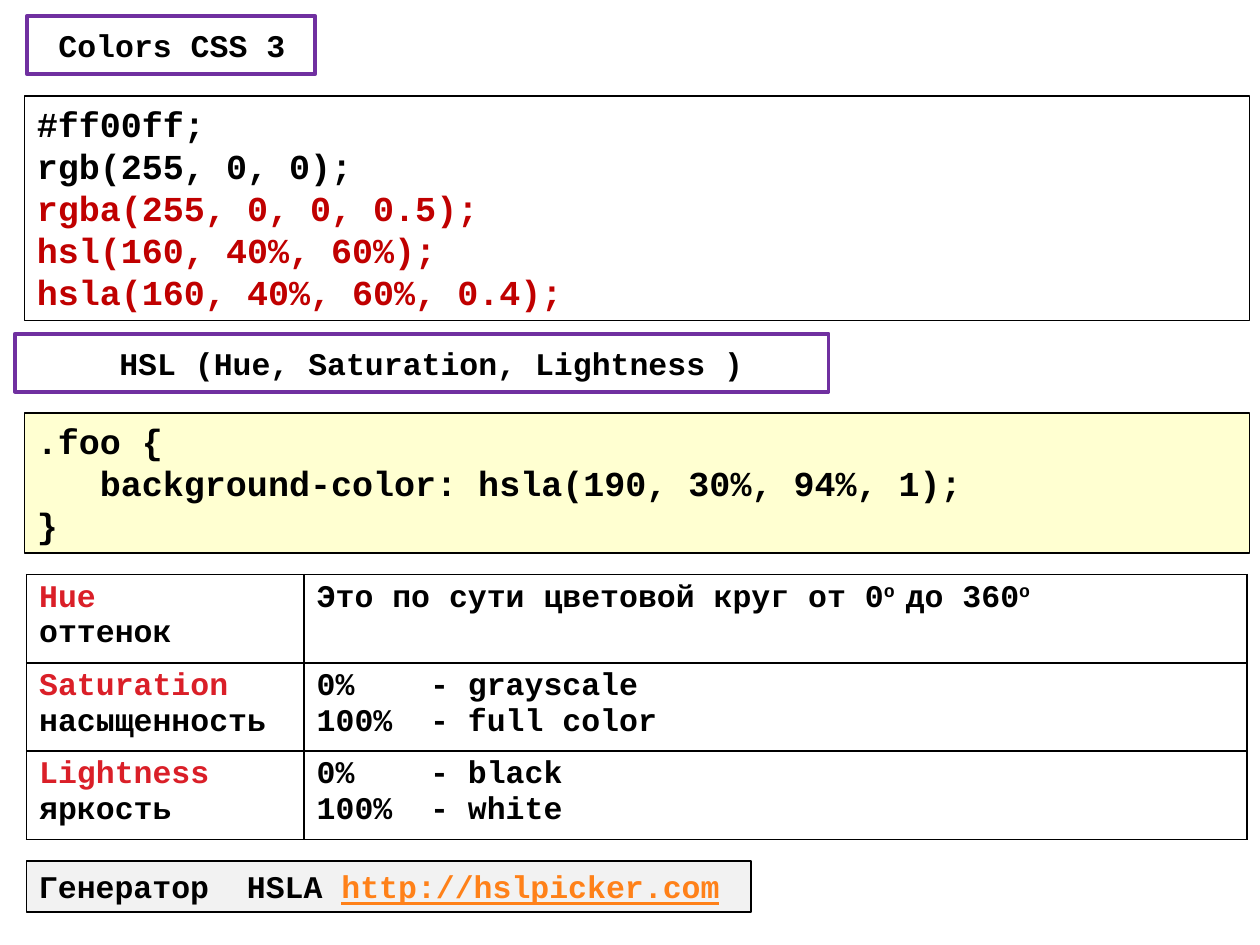
from dataclasses import dataclass

from lxml.etree import SubElement
from pptx import Presentation
from pptx.dml.color import RGBColor
from pptx.enum.shapes import MSO_SHAPE
from pptx.enum.text import MSO_ANCHOR, PP_ALIGN
from pptx.oxml.ns import qn
from pptx.util import Pt


@dataclass(frozen=True)
class Theme:
    font: str = "Courier New"
    body: int = 18
    code: int = 20
    ink: str = "000000"
    paper: str = "FFFFFF"
    frame: str = "7030A0"
    new_syntax: str = "C00000"
    term: str = "DA1F28"
    link: str = "FF8119"
    highlight: str = "FFFF00"
    footer: str = "F2F2F2"


THEME = Theme()


def rgb(value):
    return RGBColor.from_string(value)


def add_run(paragraph, text, size, color=THEME.ink, underline=None, raised=False):
    run = paragraph.add_run()
    run.text = text
    run.font.name = THEME.font
    run.font.size = Pt(size)
    run.font.bold = True
    run.font.underline = underline
    run.font.color.rgb = rgb(color)
    if raised:
        run.font._element.set("baseline", "30000")


def fill_lines(frame, lines, size, align=PP_ALIGN.LEFT):
    for index, runs in enumerate(lines):
        paragraph = frame.add_paragraph() if index else frame.paragraphs[0]
        paragraph.alignment = align
        for text, style in runs:
            add_run(paragraph, text, size, **style)


def add_panel(slide, box, fill, border, border_width, opacity=None):
    panel = slide.shapes.add_shape(MSO_SHAPE.RECTANGLE, *map(Pt, box))
    panel.shadow.inherit = False
    panel.fill.solid()
    panel.fill.fore_color.rgb = rgb(fill)
    if opacity is not None:
        color = panel.fill._xPr.find(qn("a:solidFill"))[0]
        SubElement(color, qn("a:alpha"), val=str(opacity * 1000))
    panel.line.color.rgb = rgb(border)
    panel.line.width = Pt(border_width)
    panel.text_frame.word_wrap = True
    panel.text_frame.vertical_anchor = MSO_ANCHOR.TOP
    return panel.text_frame


def add_heading(slide, box, text, align):
    frame = add_panel(slide, box, THEME.paper, THEME.frame, 2.25)
    frame.vertical_anchor = MSO_ANCHOR.MIDDLE
    fill_lines(frame, [[(text, {})]], THEME.body, align)


def add_code(slide, box, lines, fill):
    frame = add_panel(slide, box, fill, THEME.ink, 0.75, opacity=18)
    fill_lines(frame, [[(text, {"color": color})] for text, color in lines], THEME.code)


def add_generator(slide, box):
    frame = add_panel(slide, box, THEME.footer, THEME.ink, 1)
    runs = [
        ("Генератор  HSLA ", {}),
        ("http://hslpicker.com", {"color": THEME.link, "underline": True}),
        (" ", {}),
    ]
    fill_lines(frame, [runs], THEME.body)


def border_cell(cell):
    properties = cell._tc.get_or_add_tcPr()
    for position, side in enumerate(("lnL", "lnR", "lnT", "lnB")):
        line = SubElement(properties, qn(f"a:{side}"), w=str(Pt(1)))
        fill = SubElement(line, qn("a:solidFill"))
        SubElement(fill, qn("a:srgbClr"), val=THEME.ink)
        properties.insert(position, line)


def add_components(slide, box, components, term_width):
    left, top, width, height = box
    table = slide.shapes.add_table(len(components), 2, *map(Pt, box)).table
    table.first_row = table.horz_banding = False
    for column, column_width in zip(table.columns, (term_width, width - term_width)):
        column.width = Pt(column_width)
    for row, (term, translation, meaning) in zip(table.rows, components):
        row.height = Pt(height / len(components))
        name = [[(term, {"color": THEME.term})], [(translation, {})]]
        for cell, lines in zip(row.cells, (name, meaning)):
            cell.fill.background()
            border_cell(cell)
            fill_lines(cell.text_frame, lines, THEME.body)


def main():
    presentation = Presentation()
    presentation.slide_width, presentation.slide_height = Pt(720), Pt(540)
    slide = presentation.slides.add_slide(presentation.slide_layouts[6])

    add_heading(slide, (15.5, 9, 164.5, 33.5), " Colors CSS 3", PP_ALIGN.LEFT)
    add_code(
        slide,
        (14, 54.8, 700, 128.2),
        [
            ("#ff00ff;", THEME.ink),
            ("rgb(255, 0, 0);", THEME.ink),
            ("rgba(255, 0, 0, 0.5);", THEME.new_syntax),
            ("hsl(160, 40%, 60%);", THEME.new_syntax),
            ("hsla(160, 40%, 60%, 0.4);", THEME.new_syntax),
        ],
        THEME.paper,
    )
    add_heading(
        slide, (8.5, 190.8, 465, 33), " HSL (Hue, Saturation, Lightness )", PP_ALIGN.CENTER
    )
    rule = (".foo {", "\tbackground-color: hsla(190, 30%, 94%, 1);", "}")
    add_code(
        slide, (14, 236, 700, 80), [(text, THEME.ink) for text in rule], THEME.highlight
    )
    hue_range = [
        ("Это по сути цветовой круг от 0", {}),
        ("o\u00a0", {"raised": True}),
        ("до 360", {}),
        ("o", {"raised": True}),
    ]
    components = [
        ("Hue", "оттенок", [hue_range]),
        (
            "Saturation",
            "насыщенность",
            [[("0%    - grayscale", {})], [("100%  - full color", {})]],
        ),
        (
            "Lightness",
            "яркость",
            [[("0%    - black", {})], [("100%  - white", {})]],
        ),
    ]
    add_components(slide, (15.2, 328.4, 697.4, 151.2), components, 158.6)
    add_generator(slide, (15.2, 492, 414, 29))

    presentation.save("out.pptx")


if __name__ == "__main__":
    main()
